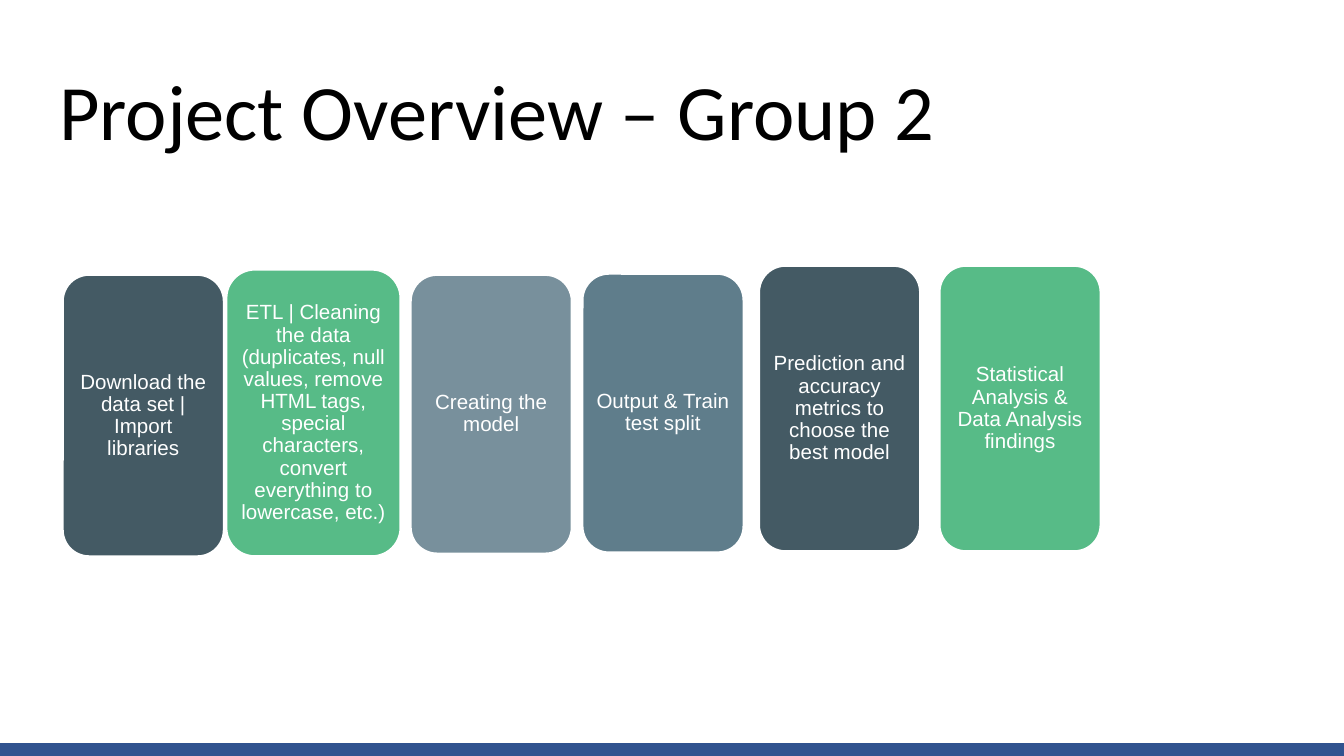
from dataclasses import dataclass

from pptx import Presentation
from pptx.dml.color import RGBColor
from pptx.enum.shapes import MSO_SHAPE
from pptx.enum.text import MSO_ANCHOR, MSO_AUTO_SIZE, PP_ALIGN
from pptx.slide import Slide
from pptx.util import Pt

WHITE = RGBColor(0xFF, 0xFF, 0xFF)
BLACK = RGBColor(0x00, 0x00, 0x00)
NAVY = RGBColor(0x31, 0x53, 0x8F)
SLATE = RGBColor(0x44, 0x5A, 0x64)
GREEN = RGBColor(0x57, 0xBB, 0x87)
GREY_BLUE = RGBColor(0x78, 0x90, 0x9C)
STEEL = RGBColor(0x5F, 0x7D, 0x8B)

SLIDE_WIDTH = 720
SLIDE_HEIGHT = 405
FOOTER_TOP = 398.1
STEP_WIDTH = 87.2


@dataclass
class Step:
    text: str
    color: RGBColor
    left: float
    top: float
    height: float
    width: float = STEP_WIDTH


STEPS = [
    Step("Download the data set | Import libraries", SLATE, 33.2, 146.8, 151.7),
    Step(
        "ETL | Cleaning the data (duplicates, null values, remove HTML tags, "
        "special characters, convert everything to lowercase, etc.)",
        GREEN, 120.8, 144, 154.5, 94.2,
    ),
    Step("Creating the model", GREY_BLUE, 219.6, 146.8, 150.2),
    Step("Output & Train test split", STEEL, 311.6, 146.2, 150.2),
    Step("Prediction and accuracy metrics to choose the best model",
         SLATE, 406.2, 142, 153.8),
    Step("Statistical Analysis & Data Analysis findings", GREEN, 502.9, 142, 153.8),
]


def add_title(slide: Slide, text: str) -> None:
    title = slide.shapes.title
    title.left, title.top = Pt(24.5), Pt(25.2)
    title.width, title.height = Pt(671), Pt(65.5)
    frame = title.text_frame
    frame.auto_size = MSO_AUTO_SIZE.NONE
    frame.word_wrap = True
    frame.vertical_anchor = MSO_ANCHOR.BOTTOM
    frame.margin_left = frame.margin_right = Pt(7.2)
    frame.margin_top = frame.margin_bottom = Pt(7.2)
    paragraph = frame.paragraphs[0]
    paragraph.alignment = PP_ALIGN.LEFT
    run = paragraph.add_run()
    run.text = text
    run.font.name = "Calibri"
    run.font.size = Pt(42)
    run.font.color.rgb = BLACK


def add_footer_bar(slide: Slide) -> None:
    bar = slide.shapes.add_shape(
        MSO_SHAPE.RECTANGLE, 0, Pt(FOOTER_TOP),
        Pt(SLIDE_WIDTH), Pt(SLIDE_HEIGHT - FOOTER_TOP),
    )
    bar.shadow.inherit = False
    bar.fill.solid()
    bar.fill.fore_color.rgb = NAVY
    bar.line.fill.background()


def add_step(slide: Slide, step: Step) -> None:
    card = slide.shapes.add_shape(
        MSO_SHAPE.ROUNDED_RECTANGLE,
        Pt(step.left), Pt(step.top), Pt(step.width), Pt(step.height),
    )
    card.shadow.inherit = False
    card.fill.solid()
    card.fill.fore_color.rgb = step.color
    card.line.color.rgb = WHITE
    card.line.width = Pt(2)
    frame = card.text_frame
    frame.word_wrap = True
    frame.vertical_anchor = MSO_ANCHOR.MIDDLE
    frame.margin_left = frame.margin_right = Pt(3.3)
    frame.margin_top = frame.margin_bottom = Pt(3.3)
    paragraph = frame.paragraphs[0]
    paragraph.alignment = PP_ALIGN.CENTER
    paragraph.line_spacing = 0.9
    run = paragraph.add_run()
    run.text = step.text
    run.font.name = "Arial"
    run.font.size = Pt(11)
    run.font.color.rgb = WHITE


def main() -> None:
    presentation = Presentation()
    presentation.slide_width = Pt(SLIDE_WIDTH)
    presentation.slide_height = Pt(SLIDE_HEIGHT)
    slide = presentation.slides.add_slide(
        presentation.slide_layouts.get_by_name("Title Only")
    )
    add_footer_bar(slide)
    add_title(slide, "Project Overview – Group 2")
    for step in STEPS:
        add_step(slide, step)
    presentation.save("out.pptx")


if __name__ == "__main__":
    main()
